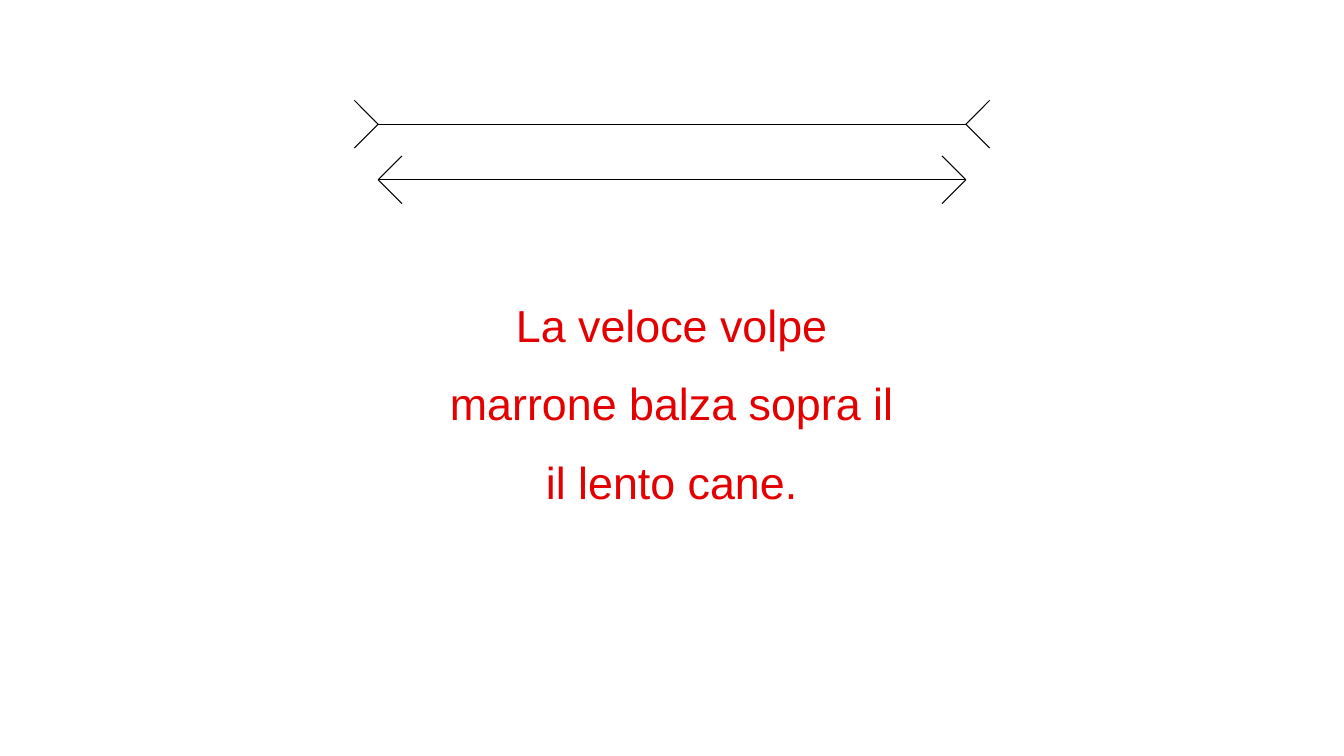
from dataclasses import dataclass
from itertools import product

from lxml.etree import SubElement
from pptx import Presentation
from pptx.dml.color import RGBColor as Color
from pptx.enum.shapes import MSO_CONNECTOR as Link
from pptx.enum.text import MSO_ANCHOR as Anchor, PP_ALIGN as Align
from pptx.oxml.ns import qn
from pptx.util import Cm, Pt


@dataclass(frozen=True)
class Theme:
    ink: Color = Color(0x00, 0x00, 0x00)
    red: Color = Color(0xE4, 0x00, 0x00)
    face: str = "Arial"
    size: Pt = Pt(32)
    gap: Pt = Pt(17.6)
    pen: Pt = Pt(0.75)


THEME = Theme()
LEFT, RIGHT = 9.53, 24.34
FIN = 0.6
LINES = ("La veloce volpe", "marrone balza sopra il", "il lento cane.")


def apply(item, form):
    for name, value in form.items():
        setattr(item, name, value)


def add_line(slide, x1, y1, x2, y2):
    line = slide.shapes.add_connector(
        Link.STRAIGHT, Cm(x1), Cm(y1), Cm(x2), Cm(y2))
    line.line.width = THEME.pen
    line.line.color.rgb = THEME.ink
    SubElement(line._element.spPr, qn("a:effectLst"))


def add_shaft(slide, y, way):
    """Draw a shaft with fins: way 1 points them out, -1 points them in."""
    add_line(slide, LEFT, y, RIGHT, y)
    for (x, side), rise in product(((LEFT, -1), (RIGHT, 1)), (-1, 1)):
        add_line(slide, x, y, x + side * way * FIN, y + rise * FIN)


def add_text(slide, x, y, width, height, lines):
    box = slide.shapes.add_textbox(Cm(x), Cm(y), Cm(width), Cm(height))
    frame = box.text_frame
    apply(frame, {"word_wrap": True, "vertical_anchor": Anchor.MIDDLE,
                  "text": "\n".join(lines)})
    for para in frame.paragraphs:
        apply(para, {"alignment": Align.CENTER, "space_before": THEME.gap})
        font = para.runs[0].font
        apply(font, {"name": THEME.face, "size": THEME.size})
        font.color.rgb = THEME.red


def main():
    deck = Presentation()
    apply(deck, {"slide_width": Cm(33.87), "slide_height": Cm(19.05)})
    slide = deck.slides.add_slide(deck.slide_layouts[6])
    add_text(slide, 9.93, 7.32, 14, 5.66, LINES)
    add_shaft(slide, 3.13, 1)
    add_shaft(slide, 4.53, -1)
    deck.save("out.pptx")


if __name__ == "__main__":
    main()
